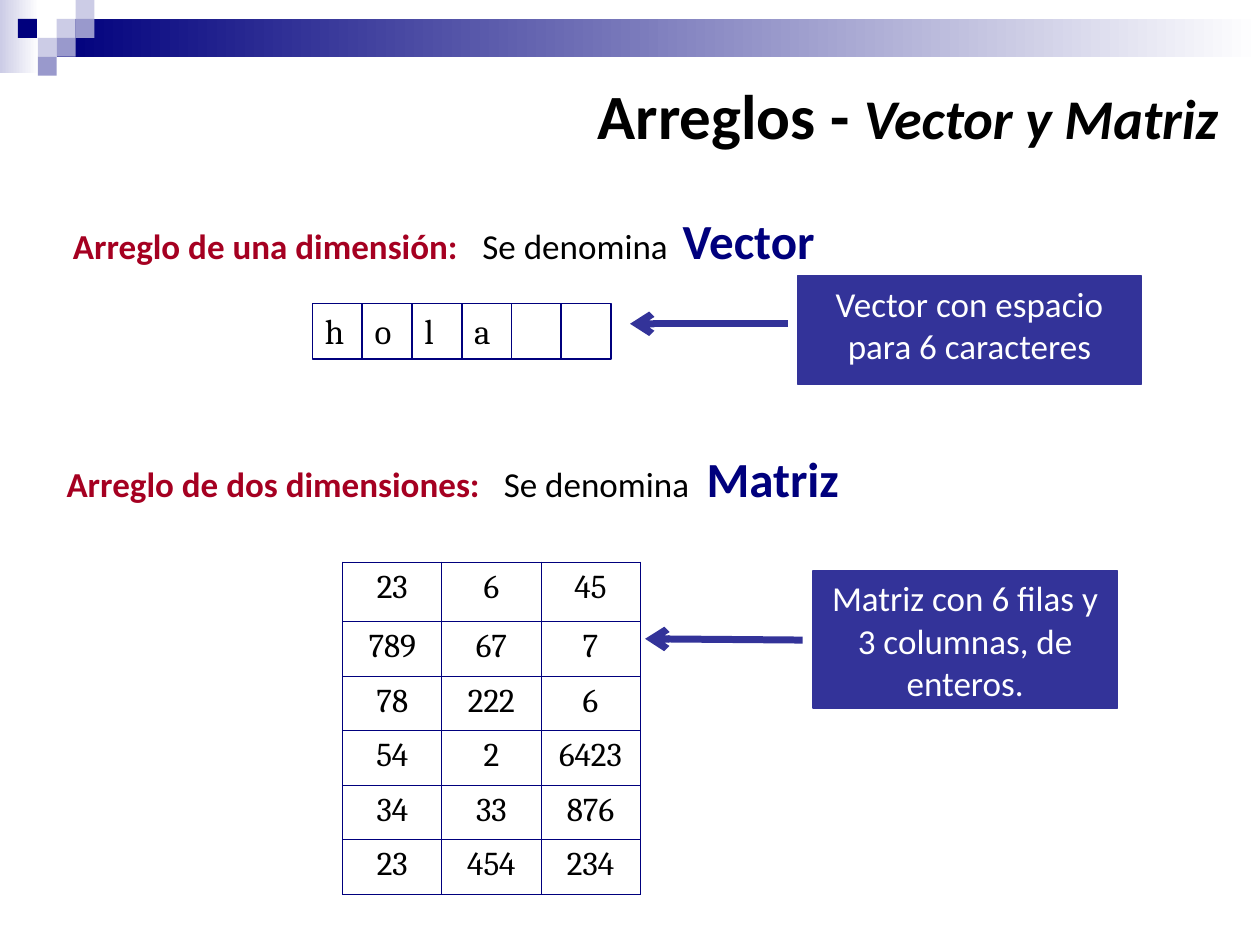
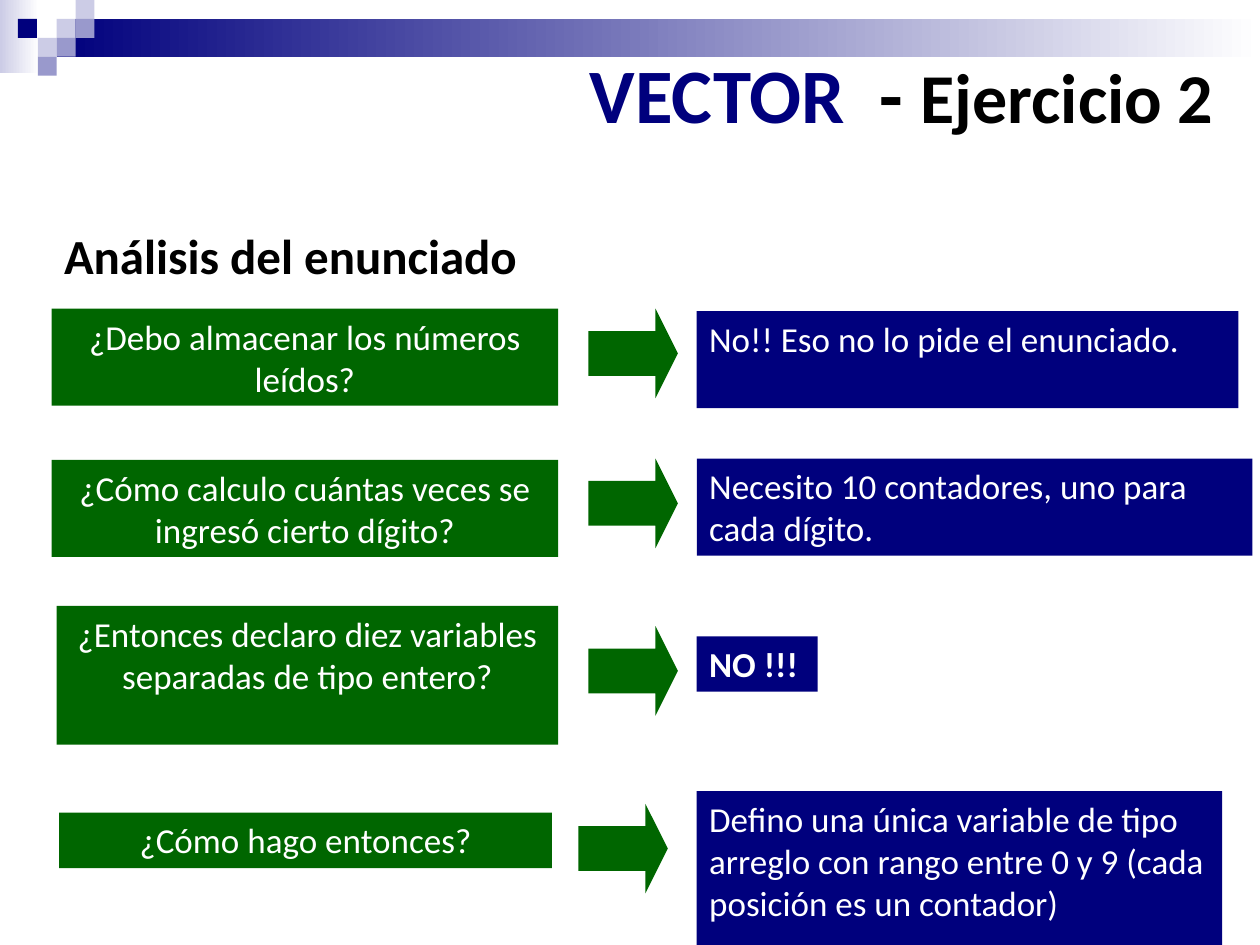
"""Builds two slides on arrays: vector and matrix, then an exercise."""
from dataclasses import dataclass
from typing import NamedTuple

from lxml import etree
from pptx import Presentation
from pptx import util as u
from pptx.dml import color
from pptx.enum import shapes, text
from pptx.oxml import ns

WIDE, TALL = u.Inches(10), u.Inches(7.5)
COLS, ROWS = 100, 75
NAVY, BLUE, GREEN, RED = "00007D", "333399", "006600", "A50021"
PALE, MID, WHITE, BLACK = "CCCCE6", "9999CC", "FFFFFF", "000000"
LEFT, MID_AL, RIGHT = text.PP_ALIGN.LEFT, text.PP_ALIGN.CENTER, text.PP_ALIGN.RIGHT
TOP, CENTER, BASE = text.MSO_ANCHOR.TOP, text.MSO_ANCHOR.MIDDLE, text.MSO_ANCHOR.BOTTOM
RECT, ARROW = shapes.MSO_SHAPE.RECTANGLE, shapes.MSO_SHAPE.RIGHT_ARROW
TILE = 1.5


class Box(NamedTuple):
    left: float
    top: float
    wide: float
    tall: float


class Run(NamedTuple):
    words: str
    size: float = 20
    ink: str = BLACK
    bold: bool = False
    slant: bool = False
    face: str = "Calibri"


@dataclass
class Topic:
    label: str
    name: str
    box: Box
    tabs: tuple
    note: str
    frame: Box
    tip: tuple
    tail: tuple


@dataclass
class Step:
    ask: str
    left: Box
    reply: str
    right: Box
    arrow: tuple
    bold: bool = False
    anchor: text.MSO_ANCHOR = TOP


TOPICS = [
    Topic("Arreglo de una dimensión:", "Vector", Box(4.8, 16.2, 68.8, 9), (3.25, 4.84),
          "Vector con espacio para 6 caracteres", Box(63.3, 21.9, 27.3, 8.6),
          (50, 25.7), (62.5, 25.7)),
    Topic("Arreglo de dos dimensiones:", "Matriz", Box(4.3, 35.1, 71.7, 9), (3.47, 5.08),
          "Matriz con 6 filas y 3 columnas, de enteros.", Box(64.5, 45.3, 24.2, 10.9),
          (51.2, 50.7), (63.7, 50.8)),
]
MATRIX = [(23, 6, 45), (789, 67, 7), (78, 222, 6), (54, 2, 6423), (34, 33, 876), (23, 454, 234)]
STEPS = [
    Step("¿Debo almacenar los números leídos?", Box(4.1, 24.5, 40.2, 7.7),
         "No!! Eso no lo pide el enunciado.", Box(55.3, 24.7, 43, 7.7),
         (46.7, 24.5), anchor=CENTER),
    Step("¿Cómo calculo cuántas veces se ingresó cierto dígito?", Box(4.1, 36.5, 40.2, 7.7),
         "Necesito 10 contadores, uno para cada dígito.", Box(55.3, 36.4, 44.1, 7.7),
         (46.7, 36.4)),
    Step("¿Entonces declaro diez variables separadas de tipo entero?", Box(4.5, 48.1, 39.8, 11),
         "NO !!!", Box(55.3, 50.5, 9.6, 4.4), (46.7, 49.7), bold=True),
    Step("¿Cómo hago entonces?", Box(4.7, 64.5, 39.1, 4.4),
         "Defino una única variable de tipo arreglo con rango entre 0 y 9 "
         "(cada posición es un contador)", Box(55.3, 62.8, 41.7, 14.4), (45.9, 63.8)),
]


def col(count: float) -> int:
    """Width of a number of grid columns."""
    return round(WIDE * count / COLS)


def row(count: float) -> int:
    """Height of a number of grid rows."""
    return round(TALL * count / ROWS)


def place(box: Box) -> tuple:
    """Grid box as slide lengths."""
    return col(box.left), row(box.top), col(box.wide), row(box.tall)


def tint(code: str) -> color.RGBColor:
    """Colour from a hex string."""
    return color.RGBColor.from_string(code)


def write(frame, *runs: Run, align=LEFT, anchor=TOP, base=0.05, tabs=()) -> None:
    """Put one formatted paragraph into a text frame."""
    frame.word_wrap = True
    frame.auto_size = text.MSO_AUTO_SIZE.NONE
    frame.vertical_anchor = anchor
    frame.margin_left = frame.margin_right = u.Inches(0.1)
    frame.margin_top, frame.margin_bottom = u.Inches(0.05), u.Inches(base)
    fill_line(frame.paragraphs[0], runs, align, tabs)


def fill_line(para, runs: tuple, align, tabs: tuple = ()) -> None:
    """Add tab stops and runs to a paragraph."""
    para.alignment = align
    if tabs:
        stops = etree.SubElement(para._p.get_or_add_pPr(), ns.qn("a:tabLst"))
        for stop in tabs:
            etree.SubElement(stops, ns.qn("a:tab"), pos=str(u.Inches(stop)), algn="l")
    for part in runs:
        run = para.add_run()
        run.text = part.words
        font = run.font
        font.name, font.size = part.face, u.Pt(part.size)
        font.bold, font.italic = part.bold, part.slant
        font.color.rgb = tint(part.ink)


def draw(slide, box: Box, fill: str = "", edge: str = "", fade: str = "", kind=RECT):
    """Draw a preset shape with a plain or fading fill."""
    shape = slide.shapes.add_shape(kind, *place(box))
    shape.shadow.inherit = False
    if fade:
        shape.fill.gradient()
        shape.fill.gradient_angle = 0
        for stop, code in zip(shape.fill.gradient_stops, (fill, fade)):
            stop.color.rgb = tint(code)
    elif fill:
        shape.fill.solid()
        shape.fill.fore_color.rgb = tint(fill)
    else:
        shape.fill.background()
    if edge:
        shape.line.color.rgb, shape.line.width = tint(edge), u.Pt(1)
    else:
        shape.line.fill.background()
    return shape


def point(slide, start: tuple, end: tuple) -> None:
    """Draw a thick line with an open head at its end."""
    line = slide.shapes.add_connector(
        shapes.MSO_CONNECTOR.STRAIGHT, col(start[0]), row(start[1]), col(end[0]), row(end[1]))
    line.line.color.rgb, line.line.width = tint(BLUE), u.Pt(4)
    props = line.element.spPr
    etree.SubElement(props.find(ns.qn("a:ln")), ns.qn("a:tailEnd"), type="arrow")
    etree.SubElement(props, ns.qn("a:effectLst"))


def brand(layout, slide) -> None:
    """Draw the band and tiles and move them to the layout."""
    parts = [draw(slide, Box(0, 0, 3.1, 5.8), PALE, fade=WHITE),
             draw(slide, Box(4.5, 1.5, 95.5, 3), NAVY, fade=WHITE)]
    tiles = [(3, 1, PALE), (4, 0, PALE), (4, 1, MID), (2, 2, PALE),
             (0.95, 1, NAVY), (3, 2, MID), (2, 3, MID)]
    parts += [draw(slide, Box(x * TILE, y * TILE, TILE, TILE), code) for x, y, code in tiles]
    for spot, part in enumerate(parts, 2):
        layout.shapes.element.insert(spot, part.element)


def head(slide, box: Box, *runs: Run) -> None:
    """Place and fill the title."""
    title = slide.shapes.title
    title.left, title.top, title.width, title.height = place(box)
    write(title.text_frame, *runs, align=RIGHT, anchor=BASE, base=0.1)


def label(slide, box: Box, *runs: Run, tabs=()) -> None:
    """Add a text box."""
    write(slide.shapes.add_textbox(*place(box)).text_frame, *runs, tabs=tabs)


def rim(cell) -> None:
    """Give a table cell thin navy borders and no fill."""
    props = cell._tc.get_or_add_tcPr()
    for side in ("lnL", "lnR", "lnT", "lnB"):
        line = etree.SubElement(props, ns.qn(f"a:{side}"), w=str(u.Pt(0.45)))
        solid = etree.SubElement(line, ns.qn("a:solidFill"))
        etree.SubElement(solid, ns.qn("a:srgbClr"), val=NAVY)
    cell.fill.background()


def matrix(slide) -> None:
    """Add the table of whole numbers."""
    box = Box(27.2, 44.6, 23.6, 26.4)
    grid = slide.shapes.add_table(len(MATRIX), len(MATRIX[0]), *place(box)).table
    grid.first_row = grid.horz_banding = False
    for y, values in enumerate(MATRIX):
        grid.rows[y].height = row(4.75 if y == 0 else 4.33)
        for x, value in enumerate(values):
            cell = grid.cell(y, x)
            rim(cell)
            fill_line(cell.text_frame.paragraphs[0],
                      (Run(str(value), 19, face="Cambria"),), MID_AL)


def arrays(slide) -> None:
    """Fill the slide on vector and matrix."""
    head(slide, Box(4.3, 6, 93.4, 7.1), Run("Arreglos - ", 36, bold=True),
         Run("Vector y Matriz", 32, bold=True, slant=True))
    matrix(slide)
    for spot, sign in enumerate("hola  "):
        cell = draw(slide, Box(24.8 + 3.95 * spot, 24.1, 3.95, 4.4), edge=NAVY)
        if sign.strip():
            write(cell.text_frame, Run(sign, face="Cambria"))
    for topic in TOPICS:
        label(slide, topic.box, Run(topic.label + "\t", ink=RED, bold=True),
              Run("Se denomina\t"), Run(topic.name, 28, NAVY, True), tabs=topic.tabs)
        point(slide, topic.tail, topic.tip)
        note = draw(slide, topic.frame, BLUE, BLUE)
        write(note.text_frame, Run(topic.note, ink=WHITE), align=MID_AL)


def drill(slide) -> None:
    """Fill the slide on the exercise."""
    head(slide, Box(3.9, 4.8, 93.4, 7.2), Run("VECTOR", 44, NAVY, True),
         Run("  - ", 44, bold=True), Run("Ejercicio 2", 40, bold=True))
    label(slide, Box(4.1, 17.4, 62.2, 5.7), Run("Análisis del enunciado", 28, bold=True))
    for step in STEPS:
        ask = draw(slide, step.left, GREEN)
        write(ask.text_frame, Run(step.ask, ink=WHITE), align=MID_AL, anchor=step.anchor)
        reply = draw(slide, step.right, NAVY)
        write(reply.text_frame, Run(step.reply, ink=WHITE, bold=step.bold))
        arrow = draw(slide, Box(*step.arrow, 7.1, 7.1), GREEN, kind=ARROW)
        arrow.adjustments[0], arrow.adjustments[1] = 0.5, 0.25


def main() -> None:
    """Build and save the deck."""
    deck = Presentation()
    deck.slide_width, deck.slide_height = WIDE, TALL
    layout = deck.slide_layouts[5]
    first, second = (deck.slides.add_slide(layout) for _ in range(2))
    brand(layout, first)
    arrays(first)
    drill(second)
    deck.save("out.pptx")


if __name__ == "__main__":
    main()
